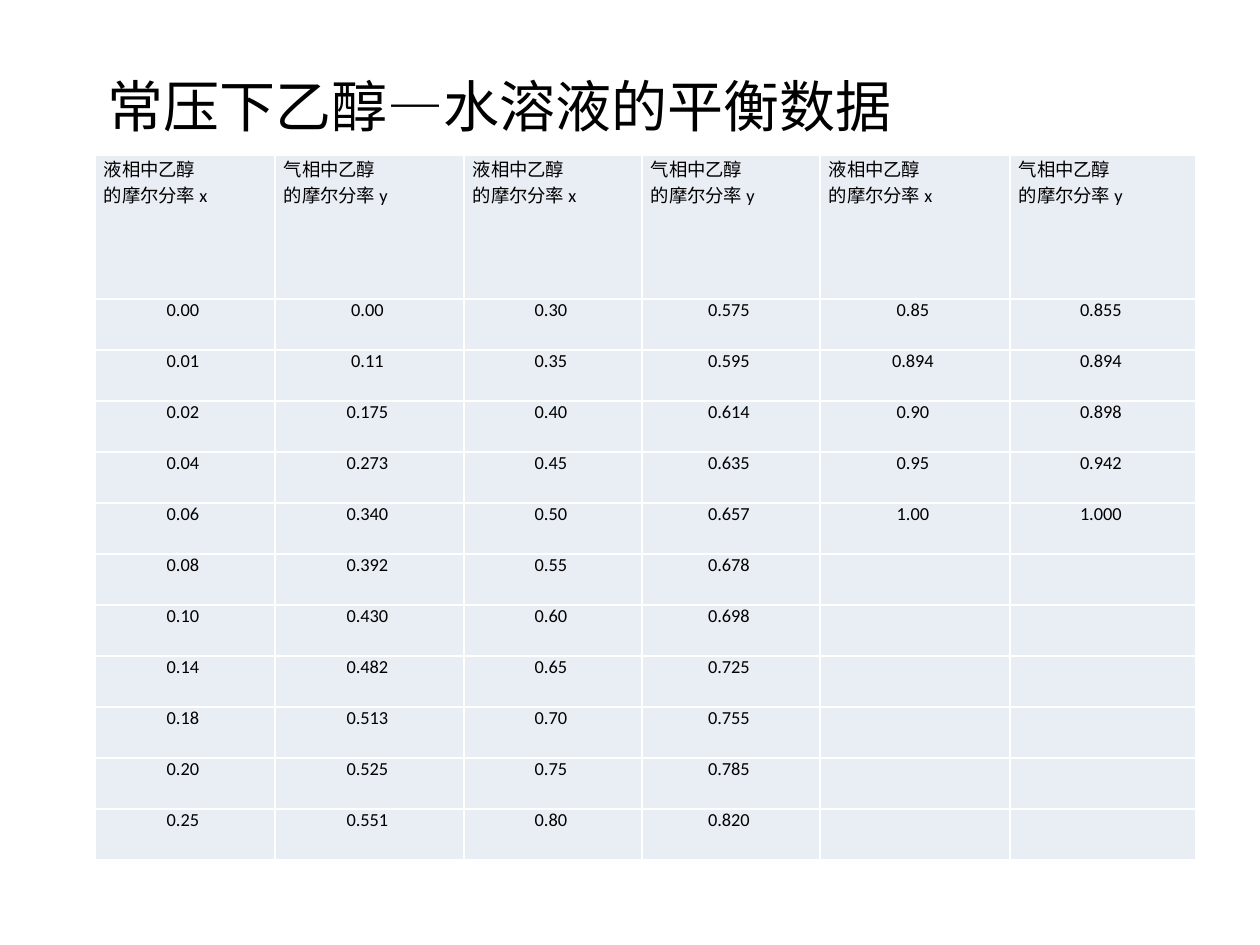
from dataclasses import dataclass
from itertools import zip_longest

from lxml import etree
from pptx import Presentation
from pptx.dml.color import RGBColor
from pptx.enum.text import MSO_ANCHOR, MSO_AUTO_SIZE, PP_ALIGN
from pptx.oxml.ns import qn
from pptx.util import Emu, Pt

LEFT, CENTER = PP_ALIGN.LEFT, PP_ALIGN.CENTER
TOP = MSO_ANCHOR.TOP
GROW = MSO_AUTO_SIZE.SHAPE_TO_FIT_TEXT
TITLE_ONLY = 5
SCALE = 914400 / 126


@dataclass(frozen=True)
class Theme:
    font: str = "Calibri"
    ink: str = "000000"
    fill: str = "E9EDF4"
    rule: str = "FFFFFF"
    title: float = 32
    body: float = 10.5
    line: float = 1
    inset: int = 9


# Equilibrium data: liquid fraction x, then vapour fraction y, in pairs
TITLE = "常压下乙醇—水溶液的平衡数据"
HEADS = (("液相中乙醇", "的摩尔分率 x"), ("气相中乙醇", "的摩尔分率 y")) * 3
COLUMNS = [text.split() for text in (
    "0.00 0.01 0.02 0.04 0.06 0.08 0.10 0.14 0.18 0.20 0.25",
    "0.00 0.11 0.175 0.273 0.340 0.392 0.430 0.482 0.513 0.525 0.551",
    "0.30 0.35 0.40 0.45 0.50 0.55 0.60 0.65 0.70 0.75 0.80",
    "0.575 0.595 0.614 0.635 0.657 0.678 0.698 0.725 0.755 0.785 0.820",
    "0.85 0.894 0.90 0.95 1.00",
    "0.855 0.894 0.898 0.942 1.000",
)]
WIDTHS = (180, 189, 178, 178, 190, 186)
HEAD_ROW, DATA_ROW = 144, 51


def px(count):
    return Emu(round(count * SCALE))


class Deck:
    def __init__(self, theme, width, height):
        self.theme = theme
        self.prs = Presentation()
        self.prs.slide_width, self.prs.slide_height = px(width), px(height)
        layout = self.prs.slide_layouts[TITLE_ONLY]
        self.slide = self.prs.slides.add_slide(layout)

    def text(self, frame, lines, size, align):
        for i, line in enumerate(lines):
            para = frame.add_paragraph() if i else frame.paragraphs[0]
            para.alignment = align
            run = para.add_run()
            run.text = line
            run.font.name = self.theme.font
            run.font.size = Pt(size)
            run.font.color.rgb = RGBColor.from_string(self.theme.ink)

    def title(self, text, left, top, width, height):
        box = self.slide.shapes.title
        box.left, box.top = px(left), px(top)
        box.width, box.height = px(width), px(height)
        frame = box.text_frame
        frame.word_wrap = False
        frame.auto_size = GROW
        frame.vertical_anchor = TOP
        self.text(frame, [text], self.theme.title, LEFT)

    def border(self, cell):
        props = cell._tc.get_or_add_tcPr()
        for i, side in enumerate(("lnL", "lnR", "lnT", "lnB")):
            line = etree.Element(qn(f"a:{side}"), w=str(Pt(self.theme.line)))
            solid = etree.SubElement(line, qn("a:solidFill"))
            etree.SubElement(solid, qn("a:srgbClr"), val=self.theme.rule)
            props.insert(i, line)

    def cell(self, cell, lines, align):
        cell.margin_left = cell.margin_right = px(self.theme.inset)
        cell.margin_top = cell.margin_bottom = 0
        cell.vertical_anchor = TOP
        cell.fill.solid()
        cell.fill.fore_color.rgb = RGBColor.from_string(self.theme.fill)
        self.border(cell)
        self.text(cell.text_frame, lines, self.theme.body, align)

    def table(self, heads, rows, left, top, widths, heights):
        shape = self.slide.shapes.add_table(
            len(heights), len(widths), px(left), px(top),
            px(sum(widths)), px(sum(heights)))
        grid = shape.table
        grid.first_row = grid.horz_banding = False
        for col, width in zip(grid.columns, widths):
            col.width = px(width)
        for row, height in zip(grid.rows, heights):
            row.height = px(height)
        for c, lines in enumerate(heads):
            self.cell(grid.cell(0, c), lines, LEFT)
        for r, values in enumerate(rows, 1):
            for c, value in enumerate(values):
                lines = [f"{value} "] if value else []
                self.cell(grid.cell(r, c), lines, CENTER)


def main():
    deck = Deck(Theme(), 1260, 945)

    # Heading
    deck.title(TITLE, 95, 65, 811, 81)

    # Data table, short columns padded with empty cells
    rows = list(zip_longest(*COLUMNS))
    heights = [HEAD_ROW] + [DATA_ROW] * len(rows)
    deck.table(HEADS, rows, 95, 155, WIDTHS, heights)

    deck.prs.save("out.pptx")


if __name__ == "__main__":
    main()
